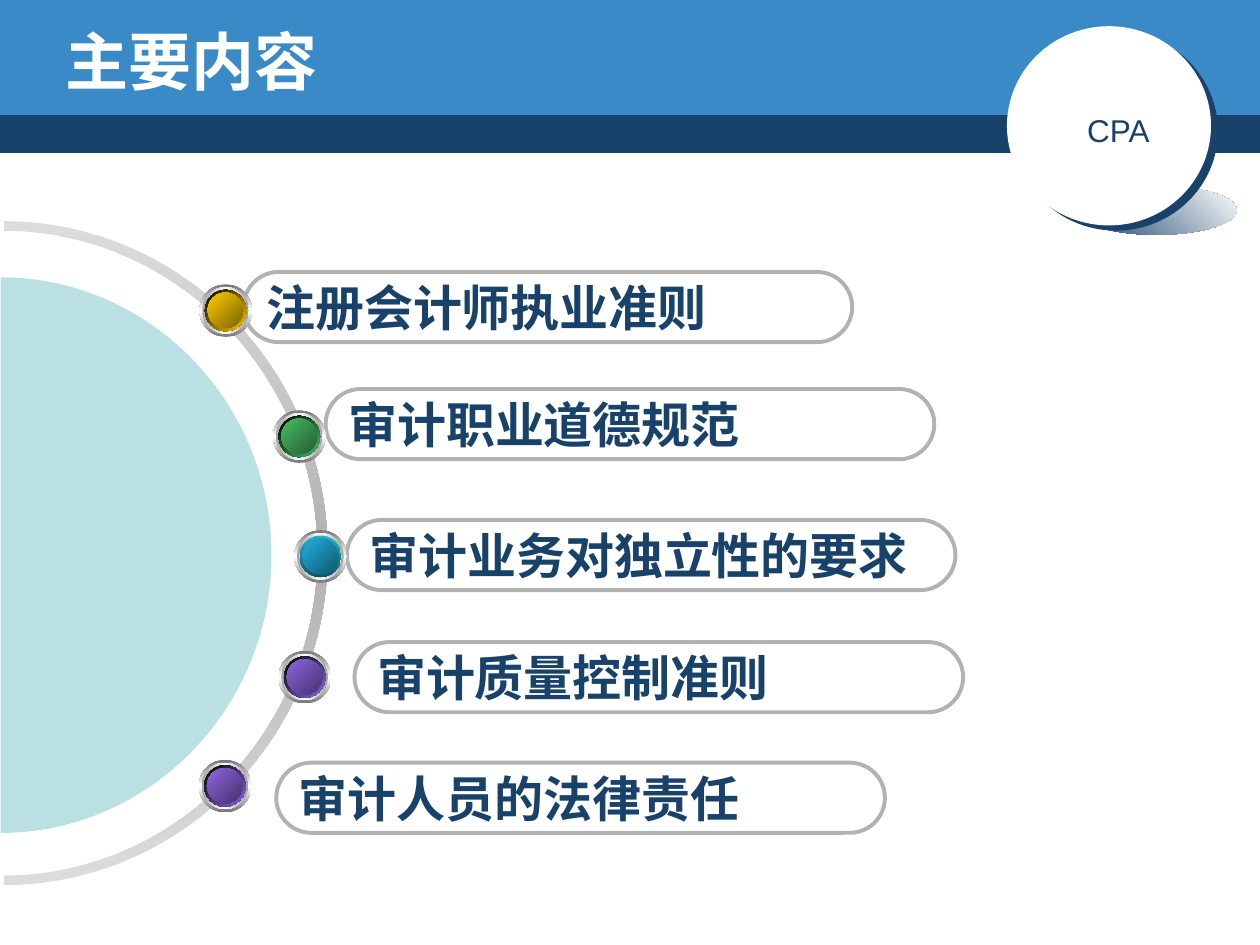
from typing import NamedTuple

from lxml import etree
from pptx import Presentation
from pptx.dml.color import RGBColor
from pptx.enum.shapes import MSO_SHAPE
from pptx.enum.text import MSO_ANCHOR, PP_ALIGN
from pptx.oxml.ns import qn
from pptx.util import Pt

RECT = MSO_SHAPE.RECTANGLE
OVAL = MSO_SHAPE.OVAL
PILL = MSO_SHAPE.ROUNDED_RECTANGLE
MIDDLE = MSO_ANCHOR.MIDDLE
LEFT = PP_ALIGN.LEFT

NAVY, BLUE, WHITE, GREY, TEAL = "19426B", "398AC7", "FFFFFF", "B2B2B2", "BBE0E3"
PILL_WIDTH, PILL_HEIGHT = 347.8, 40.1
KAPPA = 0.55  # handle length of a quarter circle drawn as a Bezier curve

Point = tuple[float, float]


class Box(NamedTuple):
    left: float
    top: float
    width: float
    height: float


class Gradient(NamedTuple):
    angle: int
    colours: tuple[str, ...]


class Topic(NamedTuple):
    text: str
    pill_left: float
    pill_top: float
    ball_left: float
    ball_top: float
    bright: str
    dark: str
    rim: Gradient


class Layer(NamedTuple):
    inset: float
    size: float
    gradient: Gradient


TOPICS = (
    Topic("注册会计师执业准则", 139.2, 155.4, 114, 162.5, "FFCC00", "7C6300",
          Gradient(45, ("000000", "FFCC00"))),
    Topic("审计职业道德规范", 186.1, 222.3, 156.1, 234.5, "48BE67", "235C32",
          Gradient(45, ("000000", "48BE67"))),
    Topic("审计业务对独立性的要求", 198.2, 297.1, 168.2, 303, "21B3E1", "10576D",
          Gradient(90, ("21B3E1", "0F5368"))),
    Topic("审计质量控制准则", 202.6, 366.9, 159.2, 372, "8D67E1", "45326D",
          Gradient(45, ("000000", "8D67E1"))),
    Topic("审计人员的法律责任", 157.9, 435.8, 113.6, 434.2, "8D67E1", "45326D",
          Gradient(45, ("000000", "8D67E1"))),
)


def rgb(value: str) -> RGBColor:
    return RGBColor.from_string(value)


def paint(shape, fill: str | Gradient | None) -> None:
    """Fill with a colour, a gradient of evenly spaced stops, or nothing."""
    shape.shadow.inherit = False
    shape.line.fill.background()
    if fill is None:
        shape.fill.background()
    elif isinstance(fill, str):
        shape.fill.solid()
        shape.fill.fore_color.rgb = rgb(fill)
    else:
        shape.fill.gradient()
        grad = shape._element.spPr.find(qn("a:gradFill"))
        grad.set("rotWithShape", "0")
        stops = grad.find(qn("a:gsLst"))
        for stop in list(stops):
            stops.remove(stop)
        last = len(fill.colours) - 1
        for index, colour in enumerate(fill.colours):
            stop = etree.SubElement(stops, qn("a:gs"), pos=str(100000 * index // last))
            etree.SubElement(stop, qn("a:srgbClr"), val=colour)
        direction = grad.find(qn("a:lin"))
        direction.set("ang", str(fill.angle * 60000))
        direction.set("scaled", "0")


def add_shape(slide, kind, box: Box, fill: str | Gradient | None):
    shape = slide.shapes.add_shape(kind, *(Pt(length) for length in box))
    paint(shape, fill)
    return shape


def write(shape, text: str, size: float, font: str, colour: str,
          bold: bool = False, wrap: bool = False) -> None:
    frame = shape.text_frame
    frame.word_wrap = wrap
    frame.vertical_anchor = MIDDLE
    paragraph = frame.paragraphs[0]
    paragraph.alignment = LEFT
    run = paragraph.add_run()
    run.text = text
    run.font.size = Pt(size)
    run.font.name = font
    run.font.bold = bold
    run.font.color.rgb = rgb(colour)


def add_hard_shadow(shape, colour: str, distance: float, angle: int) -> None:
    effects = shape._element.spPr.find(qn("a:effectLst"))
    shadow = etree.SubElement(effects, qn("a:outerShdw"), blurRad="0",
                              dist=str(Pt(distance)), dir=str(angle * 60000),
                              algn="ctr", rotWithShape="0")
    etree.SubElement(shadow, qn("a:srgbClr"), val=colour)


def arch(centre: float, base: float, rx: float, ry: float) -> list[Point]:
    """Start point and two Bezier curves of an arch, from left to right."""
    top, kx, ky = base - ry, KAPPA * rx, KAPPA * ry
    return [(centre - rx, base), (centre - rx, base - ky), (centre - kx, top),
            (centre, top), (centre + kx, top), (centre + rx, base - ky),
            (centre + rx, base)]


def add_turned_arches(slide, box: Box, arches: list[list[Point]],
                      fill: str | Gradient) -> None:
    """Join arches into one closed outline and turn it to face right."""
    builder = slide.shapes.build_freeform(0, 0)
    builder.add_line_segments([(Pt(box.width), Pt(box.height))])
    shape = builder.convert_to_shape()
    shape.left, shape.top, shape.width, shape.height = (Pt(length) for length in box)
    shape.rotation = 90
    outline = next(shape._element.iter(qn("a:path")))
    for step in list(outline):
        outline.remove(step)

    def add_step(tag: str, points: list[Point]) -> None:
        step = etree.SubElement(outline, qn(tag))
        for x, y in points:
            etree.SubElement(step, qn("a:pt"), x=str(Pt(x)), y=str(Pt(y)))

    for index, points in enumerate(arches):
        add_step("a:lnTo" if index else "a:moveTo", points[:1])
        add_step("a:cubicBezTo", points[1:4])
        add_step("a:cubicBezTo", points[4:])
    add_step("a:close", [])
    paint(shape, fill)


def add_pill(slide, topic: Topic) -> None:
    box = Box(topic.pill_left, topic.pill_top, PILL_WIDTH, PILL_HEIGHT)
    pill = add_shape(slide, PILL, box, None)
    pill.adjustments[0] = 0.5
    pill.line.color.rgb = rgb(GREY)
    pill.line.width = Pt(2.25)
    write(pill, topic.text, 28, "Arial", NAVY, bold=True)


def add_ball(slide, topic: Topic) -> None:
    layers = (
        Layer(0, 30, Gradient(90, ("767676", WHITE, "767676"))),
        Layer(1.6, 26.6, Gradient(0, ("A2A2A2", WHITE, "A2A2A2"))),
        Layer(3.1, 23.7, Gradient(45, (WHITE, "8BBC00", WHITE))),
        Layer(3.1, 23.7, topic.rim),
        Layer(4.7, 20.3, Gradient(315, ("4B6600", "8BBC00", "4B6600"))),
        Layer(4.7, 20.3, Gradient(45, (topic.bright, topic.dark))),
    )
    for inset, size, gradient in layers:
        box = Box(topic.ball_left + inset, topic.ball_top + inset, size, size)
        add_shape(slide, OVAL, box, gradient)


def add_header(slide) -> None:
    add_shape(slide, RECT, Box(0, 62.6, 720, 24.9), NAVY)
    add_shape(slide, RECT, Box(0, 0, 720, 65.7), BLUE)
    add_shape(slide, OVAL, Box(615, 106, 91.7, 28.2), Gradient(315, (NAVY, WHITE)))
    badge = add_shape(slide, OVAL, Box(575.4, 15, 116.6, 113.8), WHITE)
    add_hard_shadow(badge, NAVY, 5, 37)
    badge_label = add_shape(slide, OVAL, Box(604.8, 54.7, 64.1, 38.9), WHITE)
    write(badge_label, "CPA", 18, "Arial", NAVY)
    title = slide.shapes.add_textbox(Pt(30.2), Pt(12.2), Pt(612), Pt(44.6))
    write(title, "主要内容", 36, "DejaVu Sans", WHITE, bold=True, wrap=True)


def main() -> None:
    deck = Presentation()
    deck.slide_width, deck.slide_height = Pt(720), Pt(540)
    slide = deck.slides.add_slide(deck.slide_layouts[6])

    add_header(slide)
    ring = [arch(190.1, 185, 189.7, 185), arch(190.1, 185, 184.2, 179.3)[::-1]]
    add_turned_arches(slide, Box(-190.8, 128.2, 380.2, 375.8), ring,
                      Gradient(270, ("DCDCDC", GREY, "DCDCDC")))
    add_turned_arches(slide, Box(-158.4, 162.4, 317.5, 309.6),
                      [arch(158.75, 154.8, 158.75, 154.8)], TEAL)
    for topic in TOPICS:
        add_pill(slide, topic)
    for topic in TOPICS:
        add_ball(slide, topic)

    deck.save("out.pptx")


if __name__ == "__main__":
    main()
